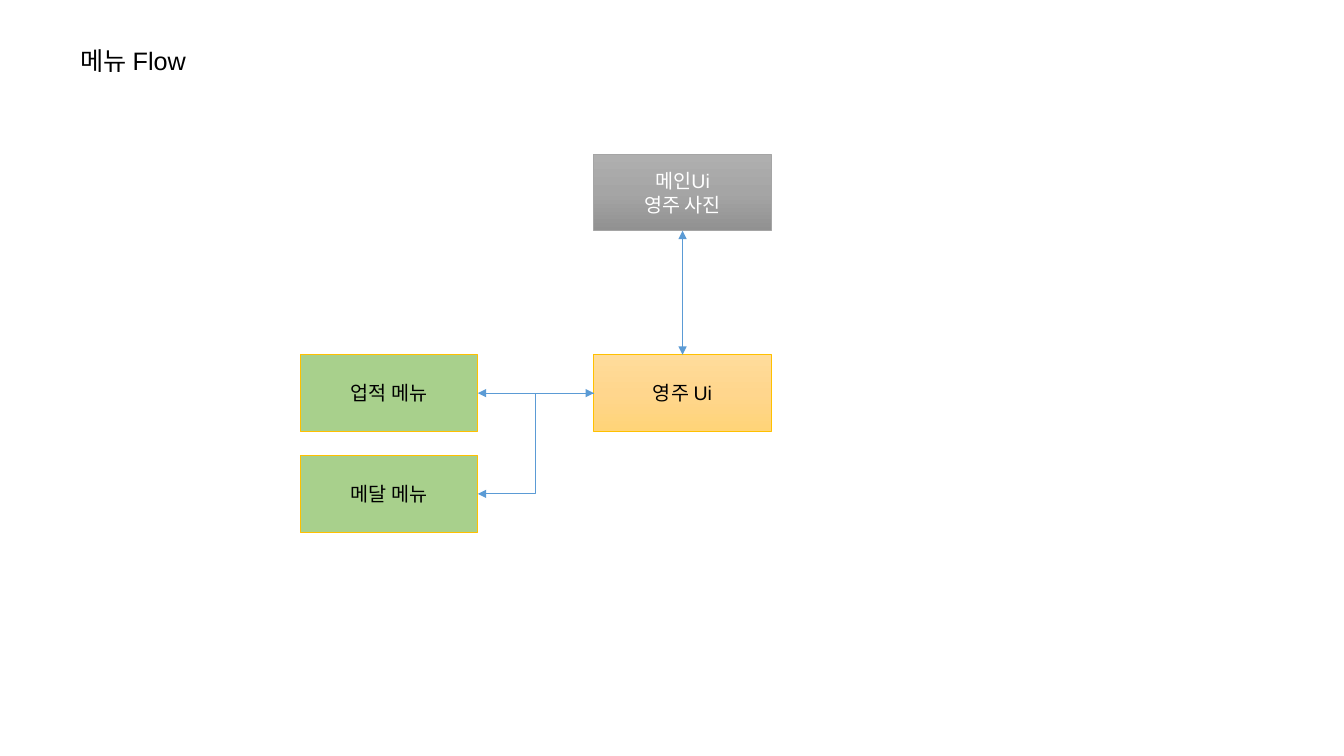
from copy import deepcopy
from dataclasses import dataclass

from pptx import Presentation
from pptx import util as u
from pptx.dml.color import RGBColor
from pptx.enum import shapes, text
from pptx.oxml import ns
from lxml import etree

PX = 9144  # EMU per px, 100 px to the inch
BOX_WIDTH, BOX_HEIGHT = 176, 76
TOP, LEFT, BOTTOM, RIGHT = range(4)  # connection sites of a rectangle
FONT = "Arial"
COLORS = {
    "black": "000000",
    "white": "FFFFFF",
    "gray": "A5A5A5",
    "gold": "FFC000",
    "green": "A8D08C",
    "blue": "5B9BD5",
}
GRAY_GRADIENT = ("AFAFAF", "A5A5A5", "919191")
GOLD_GRADIENT = ("FFDC9B", "FFD68D", "FFD478")


@dataclass(frozen=True)
class Box:
    name: str
    lines: tuple[str, ...]
    left: int
    top: int
    fill: tuple[str, ...]
    border: str = "gold"
    ink: str = "black"


@dataclass(frozen=True)
class Link:
    start: str
    start_site: int
    end: str
    end_site: int
    elbow: bool = False


BOXES = [
    Box("main", ("메인Ui", "영주 사진"), 589, 153, GRAY_GRADIENT, "gray", "white"),
    Box("lord", ("영주 Ui",), 589, 352, GOLD_GRADIENT),
    Box("achievement", ("업적 메뉴",), 298, 352, (COLORS["green"],)),
    Box("medal", ("메달 메뉴",), 298, 452, (COLORS["green"],)),
]
LINKS = [
    Link("lord", TOP, "main", BOTTOM),
    Link("achievement", RIGHT, "lord", LEFT),
    Link("lord", LEFT, "medal", RIGHT, elbow=True),
]


def px(length: int) -> u.Emu:
    return u.Emu(length * PX)


def rgb(name: str) -> RGBColor:
    return RGBColor.from_string(COLORS[name])


def write(shape, lines: tuple[str, ...], *, size: int, color: str, align,
          anchor, wrap: bool = True) -> None:
    frame = shape.text_frame
    frame.text = "\n".join(lines)
    frame.word_wrap = wrap
    frame.auto_size = text.MSO_AUTO_SIZE.NONE
    frame.vertical_anchor = anchor
    for paragraph in frame.paragraphs:
        paragraph.alignment = align
        for run in paragraph.runs:
            run.font.name = FONT
            run.font.size = u.Pt(size)
            run.font.color.rgb = rgb(color)


def paint(shape, colors: tuple[str, ...]) -> None:
    """Fill with one colour, or with a three-stop gradient from top to bottom."""
    fill = shape.fill
    if len(colors) == 1:
        fill.solid()
        fill.fore_color.rgb = RGBColor.from_string(colors[0])
        return
    fill.gradient()
    fill.gradient_angle = 270
    first = shape._element.spPr.find(".//" + ns.qn("a:gs"))
    first.addnext(deepcopy(first))
    for index, (stop, color) in enumerate(zip(fill.gradient_stops, colors)):
        stop.position = index / 2
        stop.color.rgb = RGBColor.from_string(color)


def draw_box(slide, box: Box):
    shape = slide.shapes.add_shape(
        shapes.MSO_SHAPE.RECTANGLE,
        px(box.left), px(box.top), px(BOX_WIDTH), px(BOX_HEIGHT))
    shape.shadow.inherit = False
    paint(shape, box.fill)
    shape.line.color.rgb = rgb(box.border)
    shape.line.width = u.Pt(0.75)
    write(shape, box.lines, size=14, color=box.ink,
          align=text.PP_ALIGN.CENTER, anchor=text.MSO_ANCHOR.MIDDLE)
    return shape


def draw_link(slide, link: Link, drawn: dict) -> None:
    kind = shapes.MSO_CONNECTOR.ELBOW if link.elbow else shapes.MSO_CONNECTOR.STRAIGHT
    connector = slide.shapes.add_connector(kind, 0, 0, 0, 0)
    connector.begin_connect(drawn[link.start], link.start_site)
    connector.end_connect(drawn[link.end], link.end_site)
    connector.line.color.rgb = rgb("blue")
    connector.line.width = u.Pt(0.75)
    line = connector.line._get_or_add_ln()
    for tag in ("a:tailEnd",) if link.elbow else ("a:headEnd", "a:tailEnd"):
        etree.SubElement(line, ns.qn(tag), type="triangle")
    etree.SubElement(connector._element.spPr, ns.qn("a:effectLst"))


def main() -> None:
    presentation = Presentation()
    presentation.slide_width = px(1333)
    presentation.slide_height = px(750)
    slide = presentation.slides.add_slide(presentation.slide_layouts.get_by_name("Title Only"))

    # Title
    title = slide.shapes.title
    title.left, title.top, title.width, title.height = map(px, (70, 40, 132, 40))
    write(title, ("메뉴 Flow",), size=18, color="black", wrap=False,
          align=text.PP_ALIGN.LEFT, anchor=text.MSO_ANCHOR.TOP)

    # Menu boxes and the links between them
    drawn = {box.name: draw_box(slide, box) for box in BOXES}
    for link in LINKS:
        draw_link(slide, link, drawn)

    presentation.save("out.pptx")


if __name__ == "__main__":
    main()
